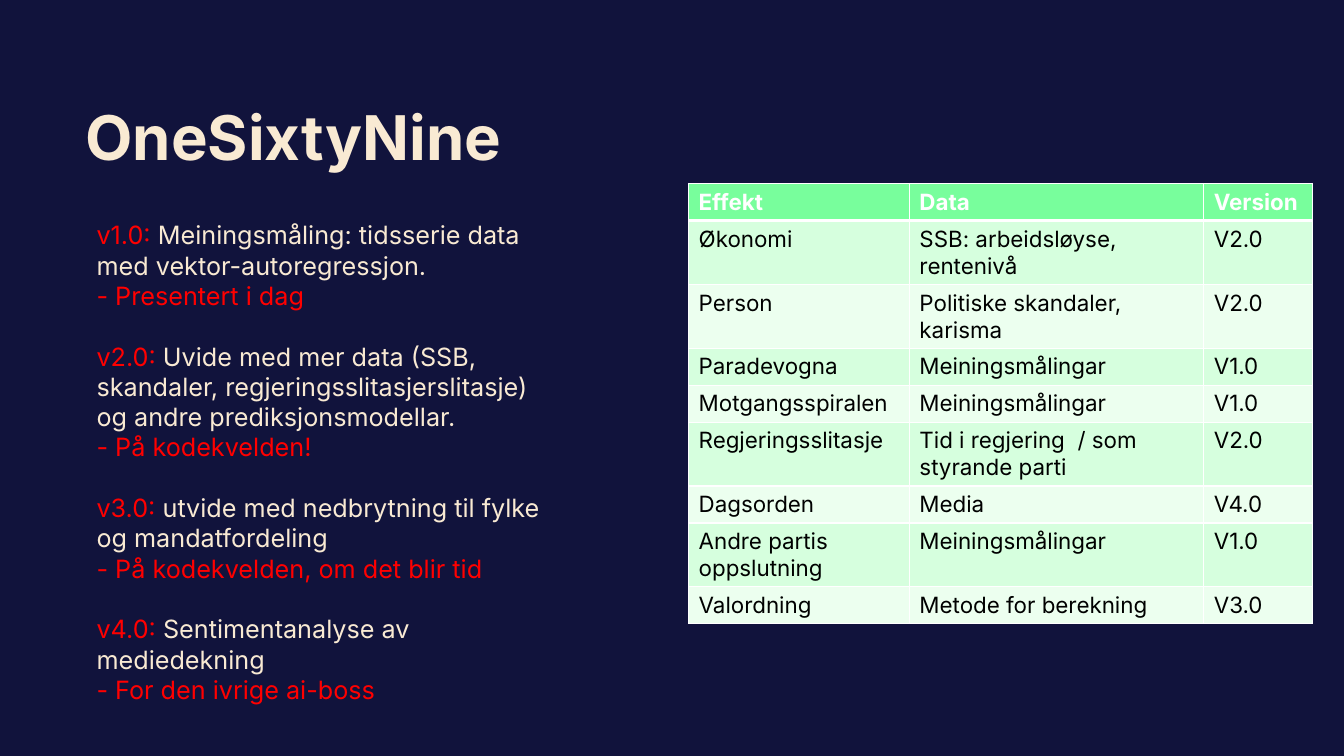
import pptx
import pptx.dml.color
import pptx.enum.text
import pptx.oxml
import pptx.oxml.ns
import pptx.util
from pptx.util import Inches

FONT = "Inter"
NAVY, CREAM, RED, WHITE, BLACK = "11133C", "F9EAD3", "FF0000", "FFFFFF", "000000"
HEADER_GREEN, BANDS = "78FE9C", ("D6FFDE", "ECFFEF")

TITLE = "OneSixtyNine"
VERSIONS = [
    ("v1.0: ", "Meiningsmåling: tidsserie data med vektor-autoregressjon.",
     "- Presentert i dag"),
    ("v2.0: ", "Uvide med mer data (SSB, skandaler, regjeringsslitasjerslitasje) "
     "og andre prediksjonsmodellar.", "- På kodekvelden!"),
    ("v3.0: ", "utvide med nedbrytning til fylke og mandatfordeling",
     "- På kodekvelden, om det blir tid"),
    ("v4.0: ", "Sentimentanalyse av mediedekning", "- For den ivrige ai-boss"),
]
EFFECTS = [
    ("Effekt", "Data", "Version"),
    ("Økonomi", "SSB: arbeidsløyse, rentenivå", "V2.0"),
    ("Person", "Politiske skandaler, karisma", "V2.0"),
    ("Paradevogna", "Meiningsmålingar", "V1.0"),
    ("Motgangsspiralen", "Meiningsmålingar", "V1.0"),
    ("Regjeringsslitasje", "Tid i regjering  / som styrande parti", "V2.0"),
    ("Dagsorden", "Media", "V4.0"),
    ("Andre partis oppslutning", "Meiningsmålingar", "V1.0"),
    ("Valordning", "Metode for berekning", "V3.0"),
]
COLUMN_WIDTHS = (2.19, 2.92, 1.08)
ROW_HEIGHT = 0.36


def rgb(code):
    return pptx.dml.color.RGBColor.from_string(code)


def add_text(para, text, size=18, color=CREAM, bold=False):
    span = para.add_run()
    span.text = text
    span.font.name = FONT
    span.font.size = pptx.util.Pt(size)
    span.font.bold = bold
    span.font.color.rgb = rgb(color)


def add_box(page, left, top, width, height):
    box = page.shapes.add_textbox(Inches(left), Inches(top), Inches(width), Inches(height))
    box.text_frame.word_wrap = True
    return box.text_frame


def add_borders(cell, bottom):
    """Draw white cell edges, 1 pt wide except for the bottom one."""
    properties = cell._tc.get_or_add_tcPr()
    for side, width in (("L", 1), ("R", 1), ("T", 1), ("B", bottom)):
        properties.append(pptx.oxml.parse_xml(
            f'<a:ln{side} {pptx.oxml.ns.nsdecls("a")} w="{pptx.util.Pt(width)}">'
            f'<a:solidFill><a:srgbClr val="{WHITE}"/></a:solidFill></a:ln{side}>'))


def add_title(page):
    frame = add_box(page, 0.75, 0.96, 11.71, 0.87)
    frame.vertical_anchor = pptx.enum.text.MSO_ANCHOR.MIDDLE
    frame.paragraphs[0].line_spacing = 0.9
    add_text(frame.paragraphs[0], TITLE, size=44, bold=True)


def add_versions(page):
    frame = add_box(page, 0.86, 2.13, 4.76, 4.95)
    for index, (version, plan, status) in enumerate(VERSIONS):
        if index:
            para = frame.add_paragraph()
            para.space_before = pptx.util.Pt(21.8)
        else:
            para = frame.paragraphs[0]
        add_text(para, version, color=RED)
        add_text(para, plan)
        add_text(frame.add_paragraph(), status, color=RED)


def add_effects(page):
    table = page.shapes.add_table(
        len(EFFECTS), len(COLUMN_WIDTHS), Inches(6.83), Inches(1.82),
        Inches(sum(COLUMN_WIDTHS)), Inches(ROW_HEIGHT * len(EFFECTS))).table
    for column, width in zip(table.columns, COLUMN_WIDTHS):
        column.width = Inches(width)
    for row, texts in enumerate(EFFECTS):
        header = row == 0
        fill = HEADER_GREEN if header else BANDS[(row - 1) % 2]
        for column, text in enumerate(texts):
            cell = table.cell(row, column)
            add_borders(cell, bottom=3 if header else 1)
            cell.fill.solid()
            cell.fill.fore_color.rgb = rgb(fill)
            add_text(cell.text_frame.paragraphs[0], text, size=16,
                     color=WHITE if header else BLACK, bold=header)


def main():
    deck = pptx.Presentation()
    deck.slide_width, deck.slide_height = Inches(13.33), Inches(7.5)
    page = deck.slides.add_slide(deck.slide_layouts[6])
    page.background.fill.solid()
    page.background.fill.fore_color.rgb = rgb(NAVY)
    add_title(page)
    add_versions(page)
    add_effects(page)
    deck.save("out.pptx")


if __name__ == "__main__":
    main()
